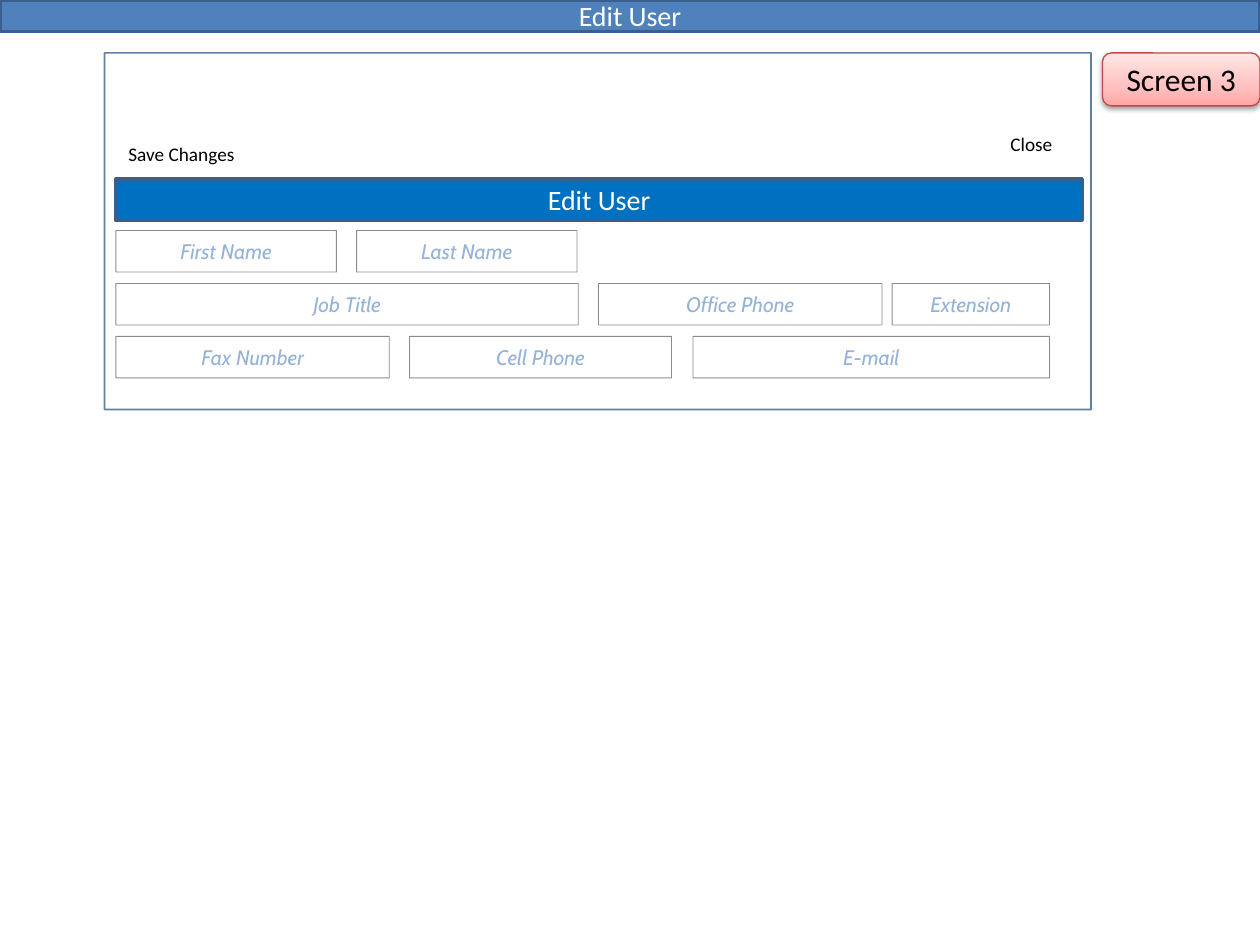
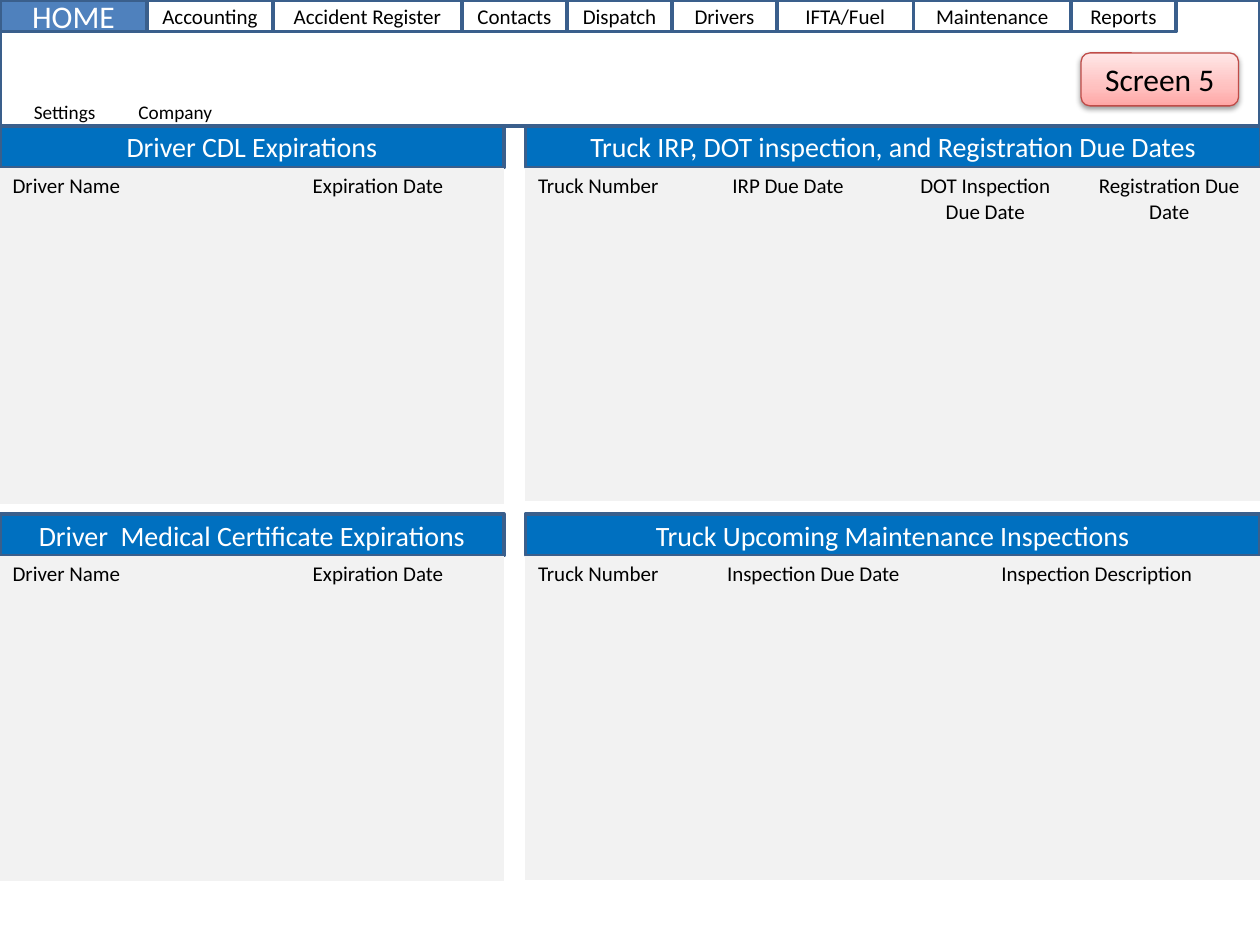
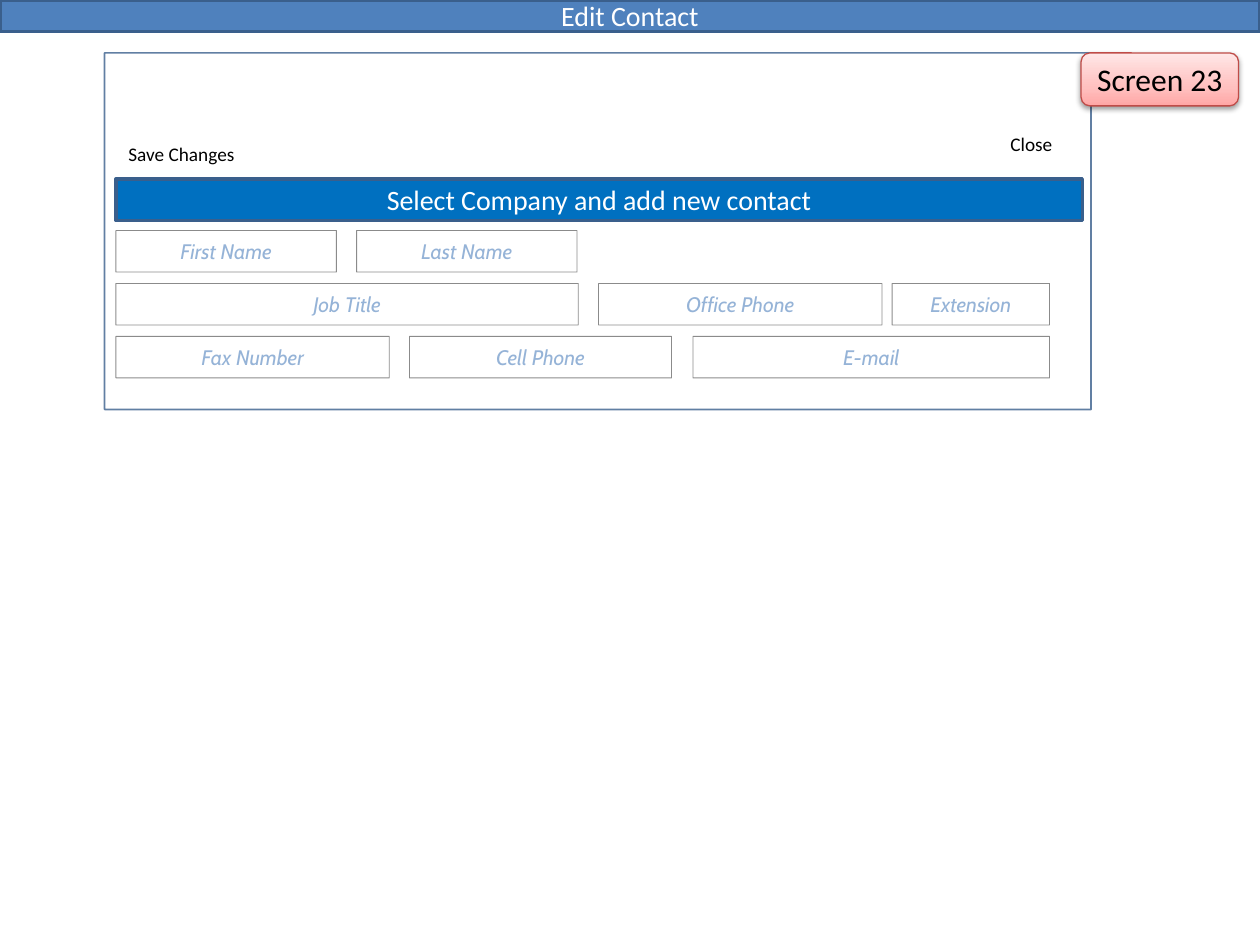
from copy import deepcopy

from lxml.etree import SubElement
from pptx import Presentation
from pptx.dml.color import RGBColor
from pptx.enum.shapes import MSO_SHAPE
from pptx.enum.text import MSO_ANCHOR, MSO_AUTO_SIZE, PP_ALIGN
from pptx.oxml.ns import qn
from pptx.util import Inches, Pt

NAVY = "3A5F8C"
BLUE = "4F81BD"
BRIGHT = "0070C0"
PALE_BLUE = "95B3D7"
GRAY = "F2F2F2"
INK = "0D0D0D"
RED = "BF4C48"
WHITE = "FFFFFF"
BLACK = "000000"
BADGE_STOPS = [(0, "FFA6A5"), (0.35, "FFC0BF"), (1, "FFE7E7")]
PLAIN_TABLE = "{2D5ABB26-0587-4C30-8999-92F81FD0307C}"

TABS = [("Accounting", 12), ("Accident Register", 18), ("Contacts", 10),
        ("Dispatch", 10), ("Drivers", 10), ("IFTA/Fuel", 13),
        ("Maintenance", 15), ("Reports", 10)]

FIELD_ROWS = [
    [("First Name", 0.92, 1.75), ("Last Name", 2.83, 1.75)],
    [("Job Title", 0.92, 3.67), ("Office Phone", 4.75, 2.25),
     ("Extension", 7.08, 1.25)],
    [("Fax Number", 0.92, 2.17), ("Cell Phone", 3.25, 2.08),
     ("E-mail", 5.5, 2.83)],
]

DRIVER_COLUMNS = [("Driver Name", 2), ("Expiration Date", 2)]
PANELS = [
    ("Driver CDL Expirations", 0, 1, 2.67, 0.35, DRIVER_COLUMNS),
    ("Driver  Medical Certificate Expirations", 0, 4.08, 2.58, 0.36,
     DRIVER_COLUMNS),
    ("Truck IRP, DOT inspection, and Registration Due Dates",
     4.17, 1, 2.65, 0.5,
     [("Truck Number", 1.25), ("IRP Due Date", 1.67),
      ("DOT Inspection Due Date", 1.46), ("Registration Due Date", 1.46)]),
    ("Truck Upcoming Maintenance Inspections", 4.17, 4.08, 2.58, 0.37,
     [("Truck Number", 1.33), ("Inspection Due Date", 1.91),
      ("Inspection Description", 2.59)]),
]


def rgb(value):
    return RGBColor.from_string(value)


def write(tf, text, size=12, color=BLACK, font="Calibri", italic=None,
          align=PP_ALIGN.CENTER):
    p = tf.paragraphs[0]
    p.alignment = align
    r = p.add_run()
    r.text = text
    r.font.size = Pt(size)
    r.font.name = font
    r.font.italic = italic
    r.font.color.rgb = rgb(color)


def add_box(s, x, y, w, h, fill=None, line=NAVY, weight=2, opacity=None,
            kind=MSO_SHAPE.RECTANGLE, text=None, **style):
    sp = s.shapes.add_shape(kind, Inches(x), Inches(y), Inches(w), Inches(h))
    sp.shadow.inherit = False
    if fill:
        sp.fill.solid()
        sp.fill.fore_color.rgb = rgb(fill)
    else:
        sp.fill.background()
    sp.line.color.rgb = rgb(line)
    sp.line.width = Pt(weight)
    if opacity:
        color = sp.line._ln.find(".//" + qn("a:srgbClr"))
        SubElement(color, qn("a:alpha"), val=str(opacity * 1000))
    if text:
        sp.text_frame.vertical_anchor = MSO_ANCHOR.MIDDLE
        write(sp.text_frame, text, **style)
    return sp


def add_label(s, text, x, y, w):
    sp = s.shapes.add_textbox(Inches(x), Inches(y), Inches(w), Inches(0.29))
    tf = sp.text_frame
    tf.word_wrap = False
    tf.auto_size = MSO_AUTO_SIZE.SHAPE_TO_FIT_TEXT
    write(tf, text, size=11, align=PP_ALIGN.LEFT)


def add_heading(s, text, x, y, w):
    add_box(s, x, y, w, 0.33, fill=BRIGHT, text=text, size=16, color=WHITE)


def add_badge(s, text, x):
    sp = add_box(s, x, 0.42, 1.25, 0.42, line=RED, weight=0.75,
                 kind=MSO_SHAPE.ROUNDED_RECTANGLE, text=text, size=18)
    sp.fill.gradient()
    sp.fill.gradient_angle = 90
    first = sp._element.spPr.find(".//" + qn("a:gs"))
    first.addnext(deepcopy(first))
    for stop, (position, color) in zip(sp.fill.gradient_stops, BADGE_STOPS):
        stop.position = position
        stop.color.rgb = rgb(color)
    effects = sp._element.spPr.find(qn("a:effectLst"))
    shadow = SubElement(effects, qn("a:outerShdw"), blurRad="40000",
                        dist="20000", dir="5400000", rotWithShape="0")
    color = SubElement(shadow, qn("a:srgbClr"), val=BLACK)
    SubElement(color, qn("a:alpha"), val="38000")


def add_grid(s, x, y, h, header_h, columns, rows=8):
    w = sum(width for _, width in columns)
    table = s.shapes.add_table(rows, len(columns), Inches(x), Inches(y),
                               Inches(w), Inches(h)).table
    table.first_row = table.horz_banding = False
    table._tbl.tblPr.find(qn("a:tableStyleId")).text = PLAIN_TABLE
    for i, row in enumerate(table.rows):
        row.height = Inches((h - header_h) / (rows - 1) if i else header_h)
    for cell in table.iter_cells():
        cell.fill.solid()
        cell.fill.fore_color.rgb = rgb(GRAY)
    for i, (title, width) in enumerate(columns):
        table.columns[i].width = Inches(width)
        write(table.cell(0, i).text_frame, title,
              align=PP_ALIGN.CENTER if i else PP_ALIGN.LEFT)
        for j in range(1, rows):
            p = table.cell(j, i).text_frame.paragraphs[0]
            SubElement(p._p, qn("a:endParaRPr"), sz="1200")


def add_panel(s, title, x, y, h, header_h, columns):
    add_heading(s, title, x, y, sum(width for _, width in columns))
    add_grid(s, x, y + 0.33, h, header_h, columns)


def add_tabs(s):
    x = 14 / 12
    for text, twelfths in TABS:
        add_box(s, x, 0, twelfths / 12, 0.25, text=text)
        x += twelfths / 12
    add_box(s, 0, 0, 14 / 12, 0.25, fill=BLUE, text="HOME", size=18,
            color=WHITE)


def blank_slide(prs):
    return prs.slides.add_slide(prs.slide_layouts[6])


def form_slide(prs, title, heading, badge, badge_x):
    s = blank_slide(prs)
    add_heading(s, heading, 0.92, 1.42, 7.67)
    add_box(s, 0, 0, 10, 0.25, fill=BLUE, text=title, size=16, color=WHITE)
    add_label(s, "Save Changes", 0.92, 1.08, 1.07)
    add_box(s, 0.83, 0.42, 7.83, 2.83, weight=1, opacity=80)
    for i, fields in enumerate(FIELD_ROWS):
        for text, x, w in fields:
            add_box(s, x, 1.83 + 0.42 * i, w, 0.33, fill=WHITE, line=INK,
                    weight=0.5, opacity=48, text=text, font="Cabin",
                    color=PALE_BLUE, italic=True)
    add_label(s, "Close", 7.92, 1, 0.55)
    add_badge(s, badge, badge_x)


def home_slide(prs):
    s = blank_slide(prs)
    add_box(s, 0, 0, 10, 1)
    add_tabs(s)
    for panel in PANELS:
        add_panel(s, *panel)
    add_label(s, "Settings", 0.17, 0.75, 0.71)
    add_label(s, "Company", 1, 0.75, 0.79)
    add_badge(s, "Screen 5", 8.58)


def main():
    prs = Presentation()
    prs.slide_width, prs.slide_height = Inches(10), Inches(7.5)
    form_slide(prs, "Edit User", "Edit User", "Screen 3", 8.75)
    home_slide(prs)
    form_slide(prs, "Edit Contact", "Select Company and add new contact",
               "Screen 23", 8.58)
    prs.save("out.pptx")


if __name__ == "__main__":
    main()
